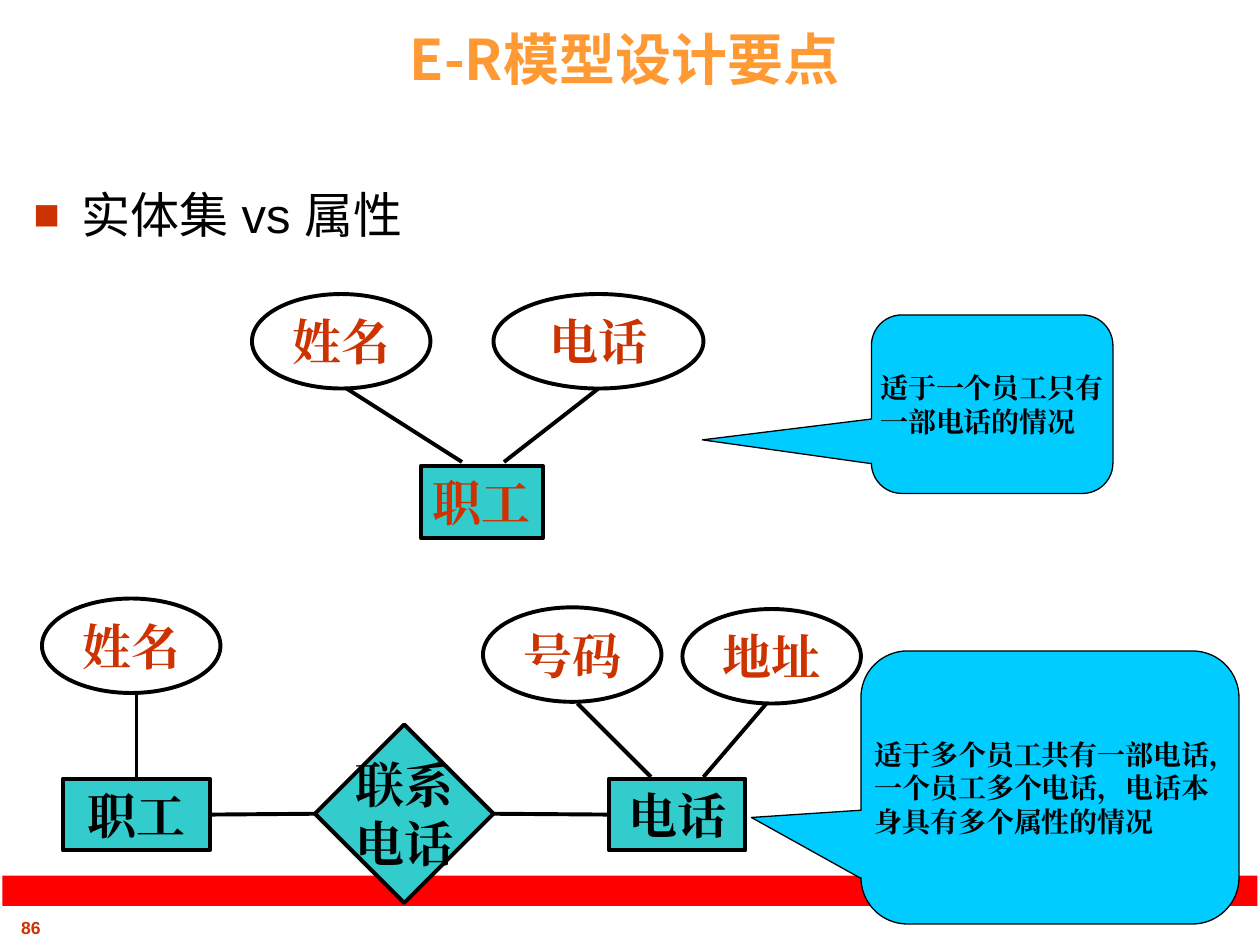
from dataclasses import dataclass

from lxml.etree import SubElement as Sub
from pptx import Presentation
from pptx.dml.color import RGBColor as Rgb
from pptx.enum.shapes import MSO_CONNECTOR as Link, MSO_SHAPE as Kind
from pptx.enum.text import MSO_ANCHOR as Anchor, MSO_AUTO_SIZE as Fit, PP_ALIGN as Align
from pptx.oxml.ns import qn
from pptx.util import Inches, Pt


@dataclass(frozen=True)
class Theme:
    """Colours, fonts and type sizes of the slide."""
    ink: str = "000000"
    paper: str = "FFFFFF"
    rust: str = "CC3300"
    gold: str = "FF9933"
    teal: str = "33CCCC"
    sky: str = "00CCFF"
    red: str = "FF0000"
    serif: str = "Times New Roman"
    sans: str = "Arial"
    head: str = "Noto Sans CJK SC"
    title: int = 32
    main: int = 28
    note: int = 16
    foot: int = 10


T = Theme()
WIDE, HIGH = 10, 7.5
COLS = 120


def grid(*vals):
    """Turn grid columns or rows into lengths."""
    return [Inches(v * WIDE / COLS) for v in vals]


def apply(obj, **vals):
    """Set each named value on an object."""
    for key, val in vals.items():
        setattr(obj, key, val)


def write(shape, text, size, tint, face=T.serif, bold=True, align=Align.CENTER, **frame):
    """Fill a shape with text, one paragraph a line."""
    tf = shape.text_frame
    tf.text = text
    apply(tf, **{"auto_size": Fit.NONE, "vertical_anchor": Anchor.MIDDLE, **frame})
    for para in tf.paragraphs:
        para.alignment = align
        for run in para.runs:
            apply(run.font, size=Pt(size), name=face, bold=bold)
            run.font.color.rgb = Rgb.from_string(tint)
            Sub(run.font._element, qn("a:ea"), typeface=face)


def form(slide, kind, box, fill, line=None):
    """Add a flat preset shape on the grid."""
    shape = slide.shapes.add_shape(kind, *grid(*box))
    shape.shadow.inherit = False
    shape.fill.solid()
    shape.fill.fore_color.rgb = Rgb.from_string(fill)
    if line:
        shape.line.width = Pt(line)
        shape.line.color.rgb = Rgb.from_string(T.ink)
    else:
        shape.line.fill.background()
    return shape


def node(slide, kind, box, text, fill=T.teal, tint=T.ink):
    """Add one labelled part of a diagram."""
    shape = form(slide, kind, box, fill, 2.25)
    write(shape, text, T.main, tint, word_wrap=False)
    return shape


def trait(slide, left, top, text, wide=17):
    """Add an attribute oval."""
    return node(slide, Kind.OVAL, (left, top, wide, 9), text, T.paper, T.rust)


def edge(slide, ends, start=None, stop=None):
    """Add a line, joined to shape sides where given."""
    line = slide.shapes.add_connector(Link.STRAIGHT, *grid(*ends))
    if start:
        line.begin_connect(*start)
    if stop:
        line.end_connect(*stop)
    line.line.width = Pt(2.25)
    line.line.color.rgb = Rgb.from_string(T.ink)
    Sub(line._element.spPr, qn("a:effectLst"))


def callout(slide, box, tip, text):
    """Add a rounded callout with its tip offset."""
    shape = form(slide, Kind.ROUNDED_RECTANGULAR_CALLOUT, box, T.sky, 0.75)
    for i, val in enumerate((*tip, 0.17)):
        shape.adjustments[i] = val
    sides = dict.fromkeys(("margin_left", "margin_right", "margin_top", "margin_bottom"), 0)
    write(shape, text, T.note, T.ink, align=Align.LEFT, word_wrap=True, **sides)


def point(slide, box, text):
    """Add a text box with a square bullet."""
    shape = slide.shapes.add_textbox(*grid(*box))
    write(shape, text, T.main, T.ink, T.sans, False, Align.LEFT,
          word_wrap=True, vertical_anchor=Anchor.TOP)
    props = shape.text_frame.paragraphs[0]._p.get_or_add_pPr()
    hang = Inches(0.38)
    props.set("marL", str(hang))
    props.set("indent", str(-hang))
    Sub(Sub(props, qn("a:buClr")), qn("a:srgbClr"), val=T.rust)
    Sub(props, qn("a:buSzPct"), val="90000")
    Sub(props, qn("a:buFont"), typeface=T.sans)
    Sub(props, qn("a:buChar"), char="■")


def frame(slide):
    """Add page number, footer band, title and topic."""
    foot = slide.shapes.add_textbox(*grid(-2.28, 86.76, 10.44, 3.24))
    write(foot, "86", T.foot, T.rust, T.sans, word_wrap=False)
    form(slide, Kind.RECTANGLE, (0.24, 83.4, 119.52, 2.88), T.red)
    head = slide.shapes.title
    spot = grid(3, 1.56, 113, 8)
    apply(head, **dict(zip(("left", "top", "width", "height"), spot)))
    write(head, "E-R模型设计要点", T.title, T.gold, T.head)
    point(slide, (2, 17, 116, 73), "实体集 vs 属性")


def single(slide):
    """Draw the phone as an attribute."""
    node(slide, Kind.RECTANGLE, (40.08, 44.4, 11.64, 6.84), "职工", tint=T.rust)
    trait(slide, 24, 28, "姓名")
    trait(slide, 47, 28, "电话", 20)
    edge(slide, (57, 37, 48, 44))
    edge(slide, (44, 44, 33, 37))
    callout(slide, (83, 30, 23, 17), (-1.2, 0.2), "适于一个员工只有一部电话的情况")


def shared(slide):
    """Draw the phone as an entity set."""
    staff = node(slide, Kind.RECTANGLE, (6, 74.16, 14, 6.84), "职工")
    phone = node(slide, Kind.RECTANGLE, (58, 74.16, 13, 6.84), "电话")
    bond = node(slide, Kind.DIAMOND, (30, 69, 17, 17), "联系\n电话")
    edge(slide, (20, 77.5, 30, 77.5), (staff, 3), (bond, 1))
    edge(slide, (47, 77.5, 58, 77.5), (bond, 3), (phone, 1))
    trait(slide, 4, 57, "姓名")
    edge(slide, (13, 66, 13, 74), stop=(staff, 0))
    trait(slide, 46, 57.84, "号码")
    edge(slide, (62, 74, 55, 67))
    trait(slide, 65, 58, "地址")
    edge(slide, (67, 74, 73, 67))
    callout(slide, (82, 62, 36, 26), (-0.79, 0.11),
            "适于多个员工共有一部电话，一个员工多个电话，电话本身具有多个属性的情况")


def main():
    """Build and save the slide."""
    deck = Presentation()
    apply(deck, slide_width=Inches(WIDE), slide_height=Inches(HIGH))
    slide = deck.slides.add_slide(deck.slide_layouts[5])
    for part in (frame, single, shared):
        part(slide)
    deck.save("out.pptx")


if __name__ == "__main__":
    main()
